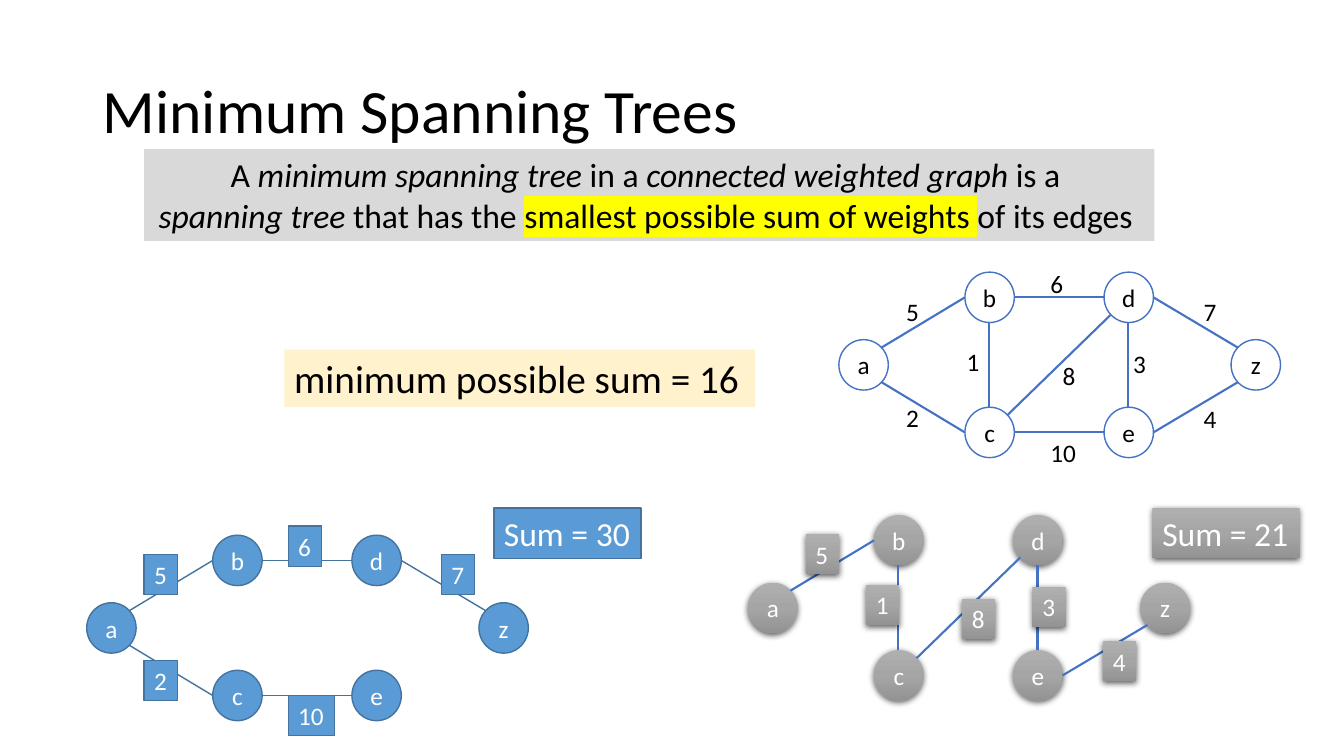
from lxml.etree import SubElement
from pptx import Presentation
from pptx.dml.color import RGBColor
from pptx.enum.shapes import MSO_CONNECTOR as Connector, MSO_SHAPE as Preset
from pptx.enum.text import MSO_ANCHOR as Anchor, MSO_AUTO_SIZE as AutoSize, PP_ALIGN as Align
from pptx.oxml.ns import qn
from pptx.util import Pt

PX = 9144  # 100 px to the inch
FONT = "Calibri"
COLORS = {
    "black": "000000", "white": "FFFFFF", "blue": "5B9BD5", "blue edge": "43739E",
    "edge": "4472C4", "definition": "D9D9D9", "answer": "FFF2CC", "highlight": "FFFF00",
    "grey top": "AFAFAF", "grey middle": "A5A5A5", "grey bottom": "939393",
}
GREY_STOPS = {0: "grey top", 50000: "grey middle", 100000: "grey bottom"}

PLAIN = {"fill": "white", "outline": "edge", "text": "black", "edge": "edge", "edge width": 1.5}
BLUE = {"fill": "blue", "outline": "blue edge", "text": "white", "edge": "blue edge", "edge width": 1}
GREY = {"fill": "gradient", "outline": None, "text": "white", "edge": "edge", "edge width": 1.5}
DEFINITION = {"fill": "definition", "outline": None, "text": "black"}
ANSWER = {"fill": "answer", "outline": None, "text": "black"}

# Offsets from the top left corner of vertex a
NODE_WIDTH, NODE_HEIGHT = 49, 50
VERTICES = {"a": (0, 0), "c": (125, 67), "b": (125, -67),
            "d": (263, -67), "e": (263, 67), "z": (389, 0)}
SITES = {"left": (0, 0.5), "right": (1, 0.5), "top": (0.5, 0), "bottom": (0.5, 1),
         "upper left": (0.15, 0.15), "upper right": (0.85, 0.15),
         "lower left": (0.15, 0.85), "lower right": (0.85, 0.85)}
# Weight: start vertex and site, end vertex and site, offset of the weight label
EDGES = {
    1: ("b", "bottom", "c", "top", (117, 2)),
    2: ("a", "lower right", "c", "left", (57, 57)),
    3: ("d", "bottom", "e", "top", (282, 4)),
    4: ("z", "lower left", "e", "right", (352, 58)),
    5: ("a", "upper right", "b", "left", (57, -48)),
    6: ("d", "left", "b", "right", (200, -76)),
    7: ("z", "upper left", "d", "right", (352, -48)),
    8: ("d", "lower left", "c", "upper right", (212, 16)),
    10: ("e", "left", "c", "right", (200, 92)),
}
GRAPHS = [
    ((86, 598), (5, 2, 10, 6, 7), BLUE),
    ((742, 578), (5, 1, 8, 3, 4), GREY),
    ((832, 337), tuple(EDGES), PLAIN),
]
DEFINITION_LINES = [
    [("A ", ""), ("minimum spanning tree ", "italic"), ("in a ", ""),
     ("connected weighted graph ", "italic"), ("is a ", "")],
    [("spanning tree ", "italic"), ("that has the ", ""),
     ("smallest possible sum of weights ", "highlight"), ("of its edges ", "")],
]


def rgb(color):
    return RGBColor.from_string(COLORS[color])


def emu(*lengths):
    return [length * PX for length in lengths]


def add_run(paragraph, text, size, color, mark=""):
    run = paragraph.add_run()
    run.text = text
    for name, value in {"name": FONT, "size": Pt(size), "italic": mark == "italic"}.items():
        setattr(run.font, name, value)
    run.font.color.rgb = rgb(color)
    if mark == "highlight":
        properties = run.font._element
        highlight = SubElement(properties, qn("a:highlight"))
        SubElement(highlight, qn("a:srgbClr"), val=COLORS["highlight"])
        properties.find(qn("a:latin")).addprevious(highlight)


def add_grey_gradient(shape):
    gradient = SubElement(shape._element.spPr, qn("a:gradFill"), rotWithShape="1")
    stops = SubElement(gradient, qn("a:gsLst"))
    for position, color in GREY_STOPS.items():
        stop = SubElement(stops, qn("a:gs"), pos=str(position))
        SubElement(stop, qn("a:srgbClr"), val=COLORS[color])
    SubElement(gradient, qn("a:lin"), ang="5400000", scaled="0")


def add_soft_shadow(shape):
    effects = shape._element.spPr.find(qn("a:effectLst"))
    shadow = SubElement(effects, qn("a:outerShdw"), blurRad="57150", dist="19050",
                        dir="5400000", algn="ctr", rotWithShape="0")
    black = SubElement(shadow, qn("a:srgbClr"), val=COLORS["black"])
    SubElement(black, qn("a:alpha"), val="63000")


def paint(shape, look):
    is_gradient = look["fill"] == "gradient"
    if is_gradient:
        add_grey_gradient(shape)
    else:
        shape.fill.solid()
        shape.fill.fore_color.rgb = rgb(look["fill"])
    if look["outline"]:
        shape.line.color.rgb = rgb(look["outline"])
        shape.line.width = Pt(1)
    else:
        shape.line.fill.background()
    shape.shadow.inherit = False
    if is_gradient:
        add_soft_shadow(shape)


def add_caption(shapes, box, lines, size, look, align=Align.LEFT, filled=True):
    """Add a text that does not wrap, on a painted rectangle if filled."""
    if filled:
        caption = shapes.add_shape(Preset.RECTANGLE, *emu(*box))
        paint(caption, look)
    else:
        caption = shapes.add_textbox(*emu(*box))
    frame = caption.text_frame
    frame_format = {"word_wrap": False, "auto_size": AutoSize.SHAPE_TO_FIT_TEXT,
                    "vertical_anchor": Anchor.TOP}
    for name, value in frame_format.items():
        setattr(frame, name, value)
    for index, line in enumerate(lines):
        paragraph = frame.add_paragraph() if index else frame.paragraphs[0]
        paragraph.alignment = align
        for text, mark in line:
            add_run(paragraph, text, size, look["text"], mark)


def add_vertex(shapes, left, top, name, look):
    vertex = shapes.add_shape(Preset.OVAL, *emu(left, top, NODE_WIDTH, NODE_HEIGHT))
    paint(vertex, look)
    vertex.text_frame.vertical_anchor = Anchor.MIDDLE
    paragraph = vertex.text_frame.paragraphs[0]
    paragraph.alignment = Align.CENTER
    add_run(paragraph, name, 18, look["text"])


def add_edge(shapes, start, end, look):
    edge = shapes.add_connector(Connector.STRAIGHT, *emu(*start, *end))
    edge.line.color.rgb = rgb(look["edge"])
    edge.line.width = Pt(look["edge width"])
    SubElement(edge._element.spPr, qn("a:effectLst"))


def add_graph(slide, origin, weights, look):
    shapes = slide.shapes.add_group_shape().shapes
    left, top = origin

    def site_point(vertex, site):
        (x, y), (across, down) = VERTICES[vertex], SITES[site]
        return left + x + round(across * NODE_WIDTH), top + y + round(down * NODE_HEIGHT)

    for name, (x, y) in VERTICES.items():
        add_vertex(shapes, left + x, top + y, name, look)
    for weight in weights:
        start, start_site, end, end_site, _ = EDGES[weight]
        add_edge(shapes, site_point(start, start_site), site_point(end, end_site), look)
    for weight in weights:
        x, y = EDGES[weight][-1]
        box = (left + x, top + y, 46 if weight > 9 else 33, 40)
        add_caption(shapes, box, [[(str(weight), "")]], 18, look, filled=look is not PLAIN)


def set_title(title, text):
    places = dict(zip(("left", "top", "width", "height"), emu(92, 40, 1150, 145)))
    for name, value in places.items():
        setattr(title, name, value)
    title.text_frame.vertical_anchor = Anchor.MIDDLE
    paragraph = title.text_frame.paragraphs[0]
    paragraph.alignment = Align.LEFT
    paragraph.line_spacing = 0.9
    add_run(paragraph, text, 44, "black")


def main():
    deck = Presentation()
    deck.slide_width, deck.slide_height = emu(1333, 750)
    slide = deck.slides.add_slide(deck.slide_layouts[5])
    set_title(slide.shapes.title, "Minimum Spanning Trees")
    for graph in GRAPHS:
        add_graph(slide, *graph)
    add_caption(slide.shapes, (1143, 504, 146, 50), [[("Sum = 21", "")]], 24, GREY)
    add_caption(slide.shapes, (490, 504, 146, 50), [[("Sum = 30", "")]], 24, BLUE)
    add_caption(slide.shapes, (143, 148, 1002, 91), DEFINITION_LINES, 24, DEFINITION, Align.CENTER)
    add_caption(slide.shapes, (282, 347, 467, 57), [[("minimum possible sum = 16", "")]], 28, ANSWER)
    deck.save("out.pptx")


if __name__ == "__main__":
    main()
